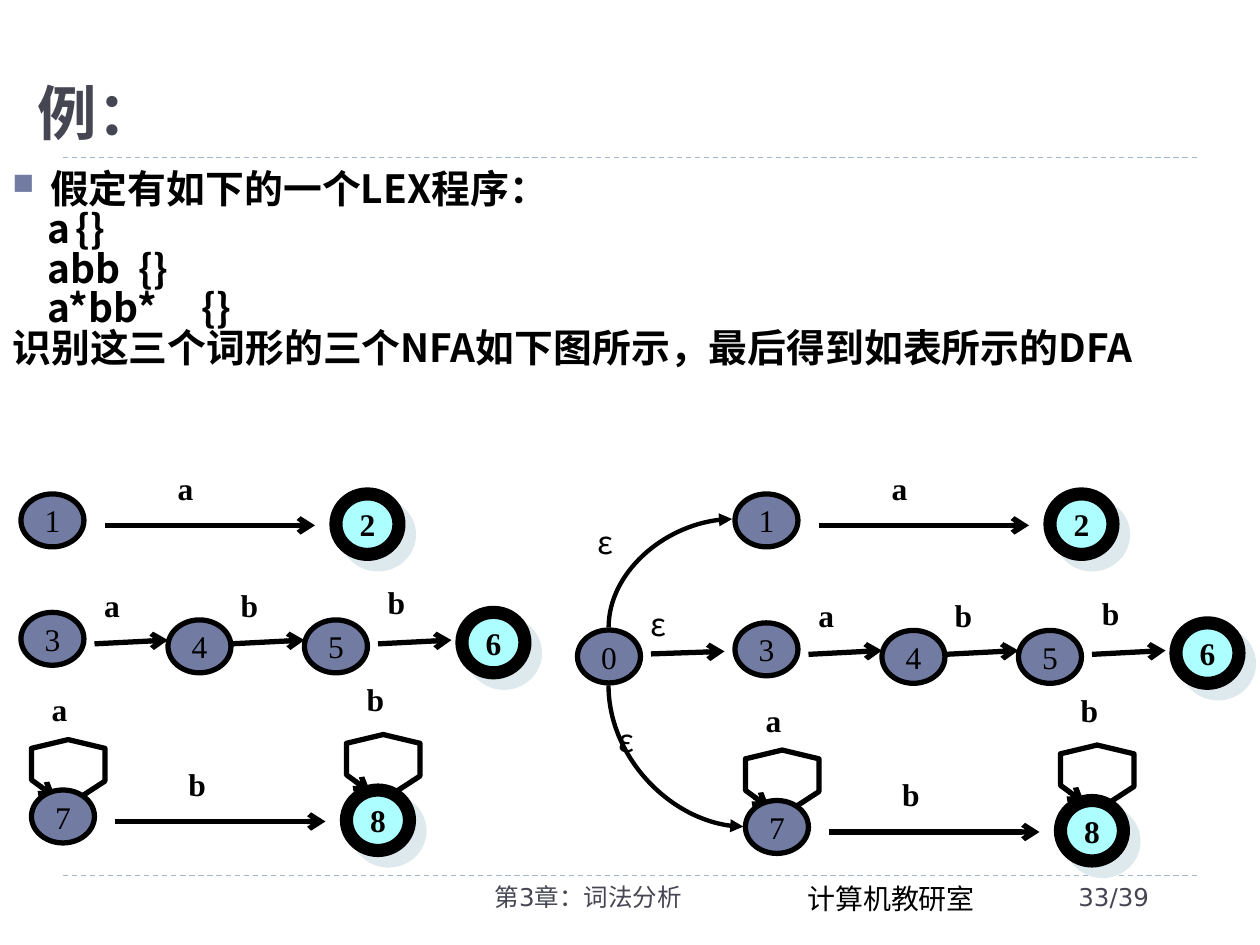
from lxml.etree import SubElement
from pptx import Presentation
from pptx.dml.color import RGBColor
from pptx.enum.dml import MSO_LINE
from pptx.enum.shapes import MSO_CONNECTOR as Link, MSO_SHAPE as Preset
from pptx.enum.text import MSO_ANCHOR as Anchor, PP_ALIGN as Align
from pptx.oxml.ns import qn
from pptx.util import Emu, Inches, Pt

BLACK = RGBColor(0x00, 0x00, 0x00)
SLATE = RGBColor(0x46, 0x46, 0x53)
STATE = RGBColor(0x72, 0x7C, 0xA3)
FINAL = RGBColor(0xAD, 0xFF, 0xFF)
SHADE = RGBColor(0xDD, 0xE9, 0xEC)
RULE = RGBColor(0x9F, 0xB8, 0xCD)
SERIF, SANS, CJK = "Times New Roman", "DejaVu Sans", "Noto Sans CJK SC"

WIDTH, HEIGHT = 10, 7.5
COL = WIDTH / 120
COMBINED_SHIFT = 68

INTRO = "假定有如下的一个LEX程序："
RULES = [("a", 1.15), ("abb", 1.41), ("a*bb*", 1.57)]
CLOSING = "识别这三个词形的三个NFA如下图所示，最后得到如表所示的DFA"
FOOTERS = [
    ("计算机教研室", 6.31, 1.66, 16, SERIF, BLACK, Align.LEFT),
    ("第3章：词法分析", 3.17, 3, 14, SANS, SLATE, Align.CENTER),
    ("33/39", 8.46, 1.15, 14, SANS, SLATE, Align.LEFT),
]
AUTOMATA = [
    dict(top=3.92, drop=0, states=[("1", 2, 0)], final=("2", 32),
         arrows=[(10, 30, 0.25, 0.25)], labels=[("a", 15, -0.25)], loops=[]),
    dict(top=4.86, drop=1, states=[("3", 2, 0), ("4", 16, 0.06), ("5", 29, 0.06)],
         final=("6", 44),
         arrows=[(start, start + 7, 0.25, 0.22) for start in (9, 22, 36)],
         labels=[("a", 8, -0.26), ("b", 21, -0.26), ("b", 35, -0.28)], loops=[]),
    dict(top=6.27, drop=1, states=[("7", 3, 0)], final=("8", 33),
         arrows=[(11, 31, 0.25, 0.25)],
         labels=[("b", 16, -0.25), ("a", 3, -0.84), ("b", 33, -0.92)],
         loops=[(3, 0), (33, -0.04)]),
]
LOOP = [(4.6, 0.06), (7, -0.07), (7, -0.33), (3.5, -0.4), (0, -0.33), (0, -0.08), (2.3, 0.06)]
CURVES = [((4.83, 4.98), (5.81, 4.12), 90), ((4.83, 5.44), (5.9, 6.56), 270)]
EPSILONS = [(55, 4.1), (60, 4.75), (57, 5.67)]


def add_span(para, text, size, font, color=BLACK, bold=False):
    span = para.add_run()
    span.text = text
    span.font.size, span.font.name, span.font.bold = Pt(size), font, bold
    span.font.color.rgb = color
    SubElement(span.font._element, qn("a:ea"), typeface=CJK)


def add_text(page, left, top, width, height):
    box = page.shapes.add_textbox(*map(Inches, (left, top, width, height)))
    box.text_frame.word_wrap = True
    return box.text_frame.paragraphs[0]


def style_line(shape, width, color=BLACK, head=None):
    shape.line.width = Pt(width)
    shape.line.color.rgb = color
    if head:
        SubElement(shape.line._get_or_add_ln(), qn("a:tailEnd"), type=head)


def add_link(page, start, end, width=3, color=BLACK, head="arrow", kind=Link.STRAIGHT):
    link = page.shapes.add_connector(kind, *map(Inches, (*start, *end)))
    style_line(link, width, color, head)
    SubElement(link._element.spPr, qn("a:effectLst"))
    return link


def add_curve(page, start, end, angle):
    (x1, y1), (x2, y2) = start, end
    mid_x, mid_y = (x1 + x2) / 2, (y1 + y2) / 2
    half_w, half_h = (y2 - y1) / 2, (x2 - x1) / 2
    reach = abs(half_w)
    curve = add_link(page, (mid_x + reach, mid_y - half_w * half_h / reach),
                     (mid_x - reach, mid_y + half_w * half_h / reach),
                     2.5, head="triangle", kind=Link.CURVE)
    shape_props = curve._element.spPr
    shape_props.find(qn("a:prstGeom")).set("prst", "curvedConnector2")
    shape_props.find(qn("a:xfrm")).set("rot", str(angle * 60000))


def add_state(page, name, column, top, final=False):
    size = (0.5, 0.48 if final else 0.42)
    node = page.shapes.add_shape(Preset.OVAL, *map(Inches, (column * COL, top, *size)))
    node.shadow.inherit = False
    node.fill.solid()
    node.fill.fore_color.rgb = FINAL if final else STATE
    style_line(node, 7.5 if final else 3)
    if final:
        effects = node._element.spPr.find(qn("a:effectLst"))
        shadow = SubElement(effects, qn("a:outerShdw"), dist=str(Pt(8.5)),
                            dir=str(45 * 60000), algn="ctr", rotWithShape="0")
        SubElement(shadow, qn("a:srgbClr"), val=str(SHADE))
    frame = node.text_frame
    frame.word_wrap = False
    frame.vertical_anchor = Anchor.MIDDLE
    frame.paragraphs[0].alignment = Align.CENTER
    add_span(frame.paragraphs[0], name, 18, SERIF, bold=final)


def add_label(page, symbol, column, top):
    para = add_text(page, column * COL, top, 10 * COL, 0.4)
    if symbol == "ε":
        add_span(para, " ", 18, SERIF, bold=True)
        add_span(para, symbol, 18, CJK)
    else:
        add_span(para, " " + symbol, 18, SERIF, bold=True)


def add_loop(page, column, top):
    points = [(Inches((column + x) * COL), Inches(top + y)) for x, y in LOOP]
    builder = page.shapes.build_freeform(*points[0])
    builder.add_line_segments(points[1:], close=False)
    loop = builder.convert_to_shape()
    loop.shadow.inherit = False
    loop.fill.background()
    style_line(loop, 3, head="arrow")


def add_automaton(page, row, shift=0):
    top = row["top"] + (row["drop"] * COL if shift else 0)
    for column, lift in row["loops"]:
        add_loop(page, column + shift, top + lift)
    for name, column, offset in row["states"]:
        add_state(page, name, column + shift, top + offset)
    name, column = row["final"]
    add_state(page, name, column + shift, top, final=True)
    for start, end, y1, y2 in row["arrows"]:
        add_link(page, ((start + shift) * COL, top + y1), ((end + shift) * COL, top + y2))
    for symbol, column, offset in row["labels"]:
        add_label(page, symbol, column + shift, top + offset)


def add_body(page):
    first = add_text(page, 0, 1.33, WIDTH, 1.97)
    frame = first._parent
    lines = [(INTRO, 0.3, -0.3, None)]
    lines += [(pattern + "\t{}", 0, 0.28, stop) for pattern, stop in RULES]
    lines += [(CLOSING, 0.3, -0.3, None)]
    for index, (text, margin, indent, stop) in enumerate(lines):
        para = frame.add_paragraph() if index else first
        para.line_spacing = 0.8
        para.space_before = Pt(1.4)
        props = para._p.get_or_add_pPr()
        props.set("marL", str(Inches(margin)))
        props.set("indent", str(Inches(indent)))
        if index == 0:
            color = SubElement(props, qn("a:buClr"))
            SubElement(color, qn("a:srgbClr"), val=str(STATE))
            SubElement(props, qn("a:buSzPct"), val="76000")
            SubElement(props, qn("a:buChar"), char="■")
        if stop:
            tabs = SubElement(props, qn("a:tabLst"))
            SubElement(tabs, qn("a:tab"), pos=str(Inches(stop)), algn="l")
        add_span(para, text, 22.2, CJK, bold=True)


def main():
    """Build the slide on the three NFAs of a LEX program and their union."""
    deck = Presentation()
    deck.slide_width, deck.slide_height = Inches(WIDTH), Inches(HEIGHT)
    page = deck.slides.add_slide(deck.slide_layouts[5])
    for y in (6.95, 1.25):
        rule = add_link(page, (0.5, y), (WIDTH - 0.5, y), 0.75, RULE, head=None)
        rule.line.dash_style = MSO_LINE.DASH
    title = page.shapes.title
    title.left, title.top, title.width, title.height = map(Inches, (0.2, 0.55, 8.5, 0.67))
    title.text_frame.vertical_anchor = Anchor.BOTTOM
    title.text_frame.paragraphs[0].alignment = Align.LEFT
    add_span(title.text_frame.paragraphs[0], "例：", 34, "TeX Gyre Bonum", SLATE, True)
    for text, left, width, size, font, color, align in FOOTERS:
        para = add_text(page, left, 6.95, width, 0.4)
        para.alignment = align
        add_span(para, text, size, font, color)
    add_body(page)
    for shift in (0, COMBINED_SHIFT):
        for row in AUTOMATA:
            add_automaton(page, row, shift)
    add_state(page, "0", 55, 5)
    add_link(page, (62 * COL, 5.19), (69 * COL, 5.17))
    for start, end, angle in CURVES:
        add_curve(page, start, end, angle)
    for column, top in EPSILONS:
        add_label(page, "ε", column, top)
    deck.save("out.pptx")


if __name__ == "__main__":
    main()
